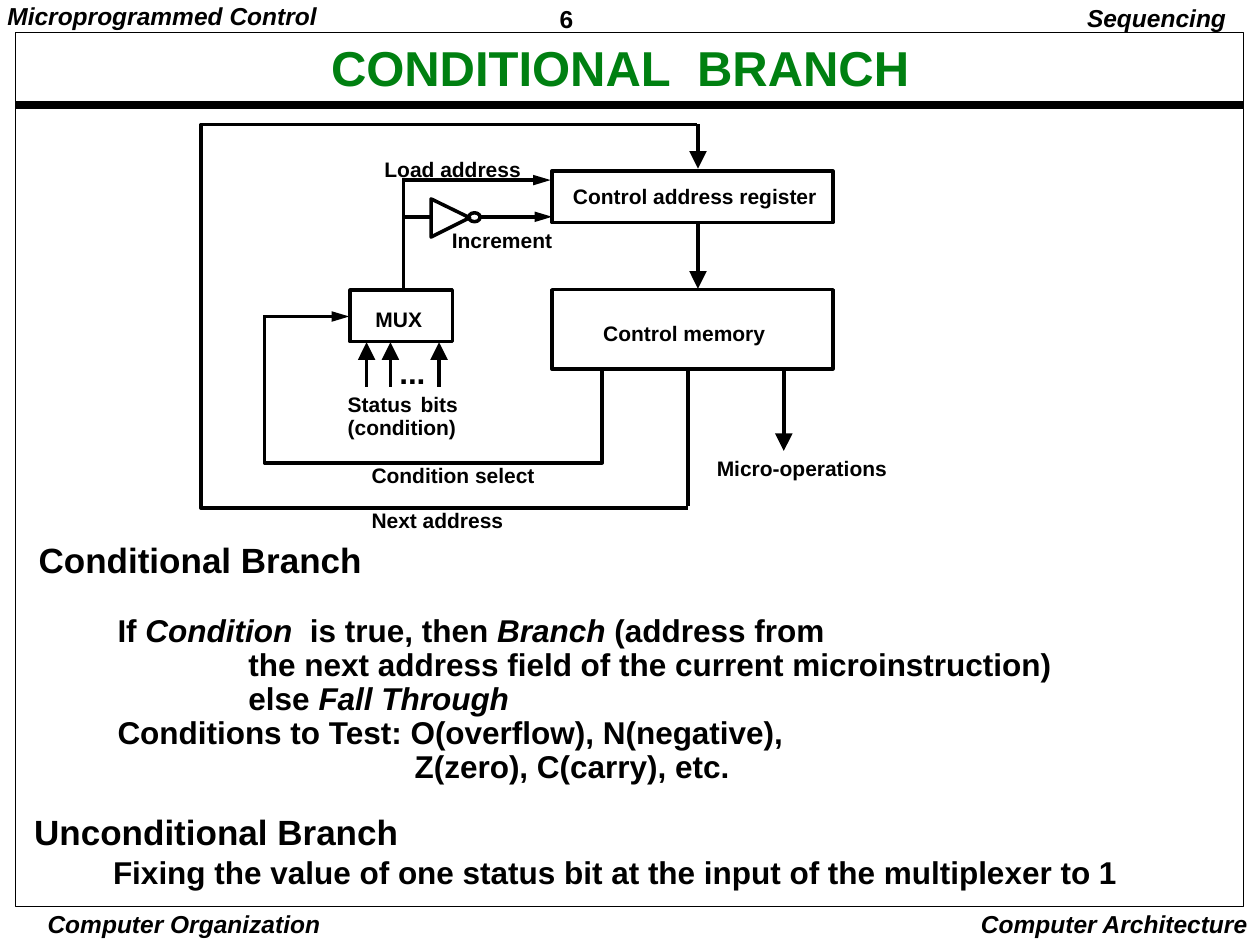
from dataclasses import dataclass

from lxml import etree
from pptx import Presentation
from pptx import util as u
from pptx.dml.color import RGBColor
from pptx.enum import shapes, text
from pptx.oxml.ns import qn

COLORS = {"ink": "000000", "title": "008011"}
FONT = "Arial"
LINE_WIDTH = 2
WIDE = (0.25, 0.13)
TIGHT = (0.18, 0.08)
SLIM = (0.08, 0.03)
LEFT, CENTER, RIGHT = text.PP_ALIGN.LEFT, text.PP_ALIGN.CENTER, text.PP_ALIGN.RIGHT


@dataclass
class Line:
    """One paragraph; words between asterisks are italic."""
    words: str
    size: float = 12
    indent: float = 0
    before: float = 0


@dataclass
class Label:
    left: float
    top: float
    width: float
    height: float
    lines: list[Line]
    align: text.PP_ALIGN = LEFT
    inset: tuple[float, float] = WIDE
    spacing: float = 0.9
    color: str = "ink"
    anchor: text.MSO_ANCHOR = text.MSO_ANCHOR.TOP


@dataclass
class Wire:
    start: tuple[float, float]
    end: tuple[float, float]
    arrow: bool = False
    width: float = LINE_WIDTH


def rgb(name: str) -> RGBColor:
    return RGBColor.from_string(COLORS[name])


def add_label(page, label: Label) -> None:
    box = page.shapes.add_textbox(*map(u.Cm, (label.left, label.top, label.width, label.height)))
    frame = box.text_frame
    frame.word_wrap = True
    frame.vertical_anchor = label.anchor
    frame.margin_left = frame.margin_right = u.Cm(label.inset[0])
    frame.margin_top = frame.margin_bottom = u.Cm(label.inset[1])
    for index, line in enumerate(label.lines):
        para = frame.add_paragraph() if index else frame.paragraphs[0]
        para.alignment = label.align
        para.line_spacing = label.spacing
        if line.before:
            para.space_before = u.Pt(line.before)
        if line.indent:
            para._p.get_or_add_pPr().set("marL", str(u.Cm(line.indent)))
        for part, words in enumerate(line.words.split("*")):
            if not words:
                continue
            span = para.add_run()
            span.text = words
            span.font.name = FONT
            span.font.size = u.Pt(line.size)
            span.font.bold = True
            span.font.italic = part % 2 == 1
            span.font.color.rgb = rgb(label.color)


def style_outline(shape, width: float = LINE_WIDTH) -> None:
    shape.shadow.inherit = False
    shape.fill.background()
    shape.line.color.rgb = rgb("ink")
    shape.line.width = u.Pt(width)


def add_block(page, kind, bounds: tuple[float, ...], width: float = LINE_WIDTH) -> None:
    style_outline(page.shapes.add_shape(kind, *map(u.Cm, bounds)), width)


def add_path(page, points: list[tuple[float, float]], closed: bool = False) -> None:
    first, *rest = [(u.Cm(x), u.Cm(y)) for x, y in points]
    builder = page.shapes.build_freeform(*first)
    builder.add_line_segments(rest, close=closed)
    style_outline(builder.convert_to_shape())


def add_wire(page, wire: Wire) -> None:
    line = page.shapes.add_connector(shapes.MSO_CONNECTOR.STRAIGHT, *map(u.Cm, wire.start + wire.end))
    line.line.color.rgb = rgb("ink")
    line.line.width = u.Pt(wire.width)
    if wire.arrow:
        # Vertical arrows have broader heads than horizontal ones
        breadth = "lg" if wire.start[0] == wire.end[0] else "med"
        etree.SubElement(line.line._get_or_add_ln(), qn("a:tailEnd"), type="triangle", w=breadth, len="lg")
    etree.SubElement(line._element.spPr, qn("a:effectLst"))


def caption(left: float, top: float, width: float, *words: str) -> Label:
    return Label(left, top, width, 0.25 + 0.46 * len(words), [Line(word) for word in words])


RECT, OVAL = shapes.MSO_SHAPE.RECTANGLE, shapes.MSO_SHAPE.OVAL

# Running header, footer and title
PAGE_LABELS = [
    Label(-0.03, 0, 6.8, 0.69, [Line("*Microprogrammed Control*", 14)], inset=TIGHT),
    Label(11.1, 0, 2.74, 0.74, [Line("6", 14)], inset=TIGHT, spacing=1.01),
    Label(21.47, 0, 3.5, 0.79, [Line("*Sequencing*", 14)], RIGHT),
    Label(0.79, 18.29, 5.84, 0.66, [Line("*Computer Organization*", 14)], CENTER, SLIM, 1.0),
    Label(19.31, 18.19, 6.09, 0.84, [Line("*Computer Architecture*", 14)], RIGHT, spacing=1.0),
    Label(2.24, 0.94, 20.52, 0.97, [Line("CONDITIONAL  BRANCH", 28)], CENTER,
          color="title", anchor=text.MSO_ANCHOR.MIDDLE),
]

# Explanations under the diagram
NOTES = [
    Label(0.53, 10.82, 23.14, 5.13, [
        Line("Conditional Branch", 20),
        Line("If *Condition*  is true, then *Branch *(address from", 18, 1.59, 19.5),
        Line("the next address field of the current microinstruction)", 18, 4.23),
        Line("else *Fall Through*", 18, 4.23),
        Line("Conditions to Test: O(overflow), N(negative),", 18, 1.59),
        Line("Z(zero), C(carry), etc.", 18, 7.58),
    ]),
    Label(0.51, 16.26, 22.4, 1.78, [
        Line("Unconditional Branch", 20),
        Line("Fixing the value of one status bit at the input of the multiplexer to 1", 18, 1.59),
    ], inset=TIGHT, spacing=1.01),
]

# Diagram
BLOCKS = [
    (RECT, (11.13, 3.45, 5.66, 1.04)),  # control address register
    (RECT, (11.13, 5.84, 5.66, 1.6)),  # control memory
    (RECT, (7.06, 5.85, 2.06, 1.04)),  # multiplexer
    (OVAL, (9.45, 4.29, 0.23, 0.18)),  # inverter bubble
]
INVERTER = [(8.69, 4.01), (9.47, 4.39), (8.69, 4.78)]
CONDITION_LOOP = [(12.14, 7.47), (12.14, 9.33), (5.33, 9.33), (5.33, 6.38)]
NEXT_ADDRESS_LOOP = [(13.87, 10.24), (4.05, 10.24), (4.05, 2.51), (14.05, 2.51)]
STATUS_BITS = [7.39, 7.87, 8.85]
WIRES = [
    Wire((14.07, 2.5), (14.07, 3.4), True),
    Wire((14.07, 4.5), (14.07, 5.82), True),
    Wire((8.15, 3.63), (11.1, 3.63), True),
    Wire((9.65, 4.37), (11.13, 4.37), True),
    Wire((8.71, 4.37), (8.13, 4.37)),
    Wire((8.13, 3.58), (8.13, 5.82)),
    Wire((5.31, 6.38), (7.04, 6.38), True),
    Wire((13.87, 7.44), (13.87, 10.21)),
    Wire((15.8, 7.44), (15.8, 9.09), True),
    *[Wire((x, 7.8), (x, 6.9), True) for x in STATUS_BITS],
]
CAPTIONS = [
    caption(11.3, 3.63, 5.61, "Control address register"),
    caption(11.91, 6.39, 3.98, "Control memory"),
    caption(7.32, 6.1, 1.65, "MUX"),
    caption(7.5, 3.08, 3.45, "Load address"),
    caption(8.86, 4.52, 2.71, "Increment"),
    caption(6.76, 7.82, 2.89, "Status", "(condition)"),
    caption(8.23, 7.82, 1.44, "bits"),
    caption(14.2, 9.12, 4.14, "Micro-operations"),
    caption(7.24, 9.25, 3.98, "Condition select"),
    caption(7.24, 10.16, 3.38, "Next address"),
    Label(7.8, 7.07, 1.24, 0.94, [Line("...", 18)]),
]


def main() -> None:
    deck = Presentation()
    deck.slide_width, deck.slide_height = u.Cm(25.4), u.Cm(19.05)
    page = deck.slides.add_slide(deck.slide_layouts[6])

    # Page frame and heavy rule
    add_wire(page, Wire((0.32, 2.11), (25.06, 2.11), width=4.5))
    add_block(page, RECT, (0.32, 0.66, 24.74, 17.62), 0.5)

    for kind, bounds in BLOCKS:
        add_block(page, kind, bounds)
    add_path(page, INVERTER, closed=True)
    add_path(page, CONDITION_LOOP)
    add_path(page, NEXT_ADDRESS_LOOP)
    for wire in WIRES:
        add_wire(page, wire)
    for label in PAGE_LABELS + NOTES + CAPTIONS:
        add_label(page, label)

    deck.save("out.pptx")


if __name__ == "__main__":
    main()
